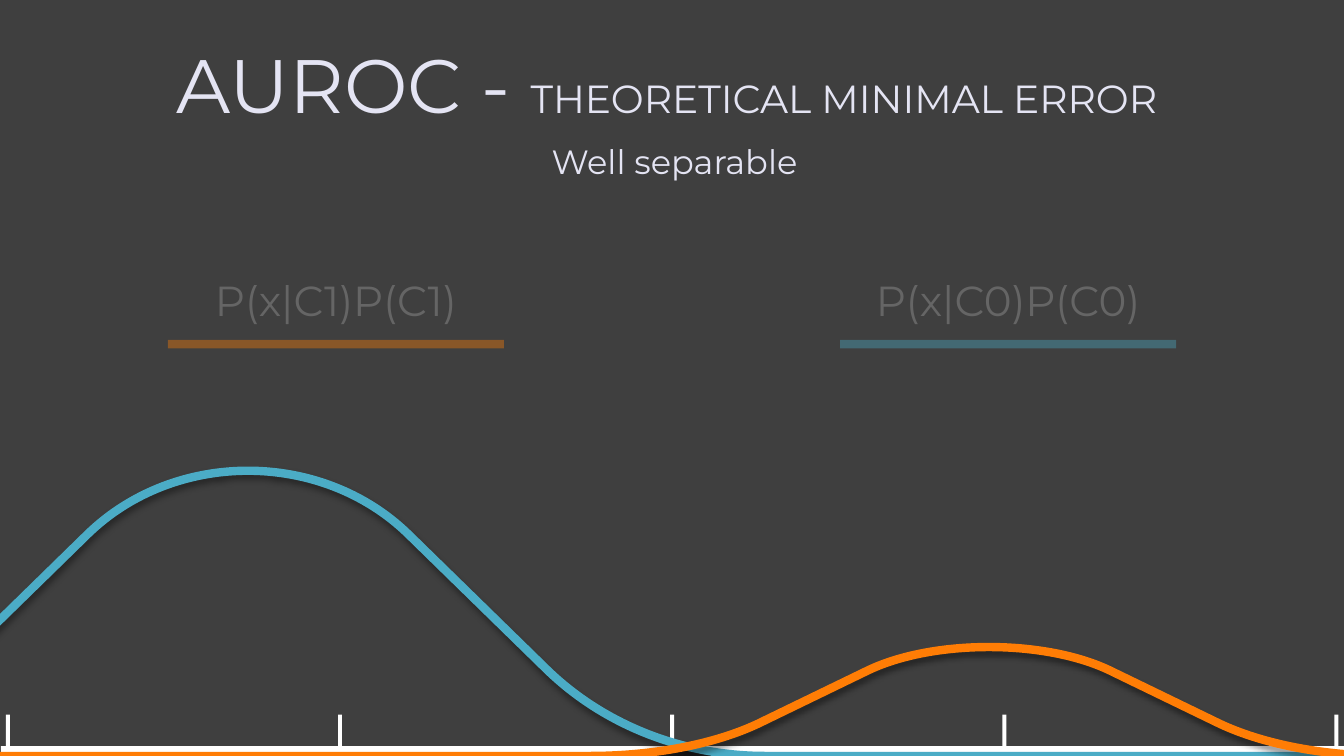
from dataclasses import dataclass

from lxml import etree
from pptx import Presentation
from pptx.dml.color import RGBColor
from pptx.enum.shapes import MSO_CONNECTOR
from pptx.enum.text import MSO_ANCHOR, PP_ALIGN
from pptx.oxml.ns import qn
from pptx.util import Cm, Pt

STRAIGHT = MSO_CONNECTOR.STRAIGHT
CENTER = PP_ALIGN.CENTER
TOP, MIDDLE = MSO_ANCHOR.TOP, MSO_ANCHOR.MIDDLE
FONT = "Montserrat"
BLUE, ORANGE, WHITE, LILAC = "4BACC6", "FF7D05", "FFFFFF", "E4E4F3"
BASE = 19.05

Point = tuple[float, float]


@dataclass
class Run:
    text: str
    size: int
    color: str = LILAC
    alpha: int = 100


@dataclass
class Bump:
    color: str
    center: float
    start: float
    end: float
    tail: float
    tail_handle: float
    foot_handle: Point
    foot: Point
    shoulder: Point
    top_handle: Point
    peak: float


@dataclass
class Legend:
    text: str
    left: float
    color: str


def paint(fill, color: str, alpha: int = 100) -> None:
    fill.solid()
    fill.fore_color.rgb = RGBColor.from_string(color)
    if alpha < 100:
        clr = fill._xPr.find(qn("a:solidFill"))[0]
        etree.SubElement(clr, qn("a:alpha"), val=str(alpha * 1000))


def add_shadow(sp) -> None:
    effects = etree.SubElement(sp._element.spPr, qn("a:effectLst"))
    shadow = etree.SubElement(effects, qn("a:outerShdw"), blurRad=str(Pt(4)),
                              dist=str(Pt(3)), dir="5400000", rotWithShape="0")
    clr = etree.SubElement(shadow, qn("a:srgbClr"), val="000000")
    etree.SubElement(clr, qn("a:alpha"), val="40000")


def add_outline(shapes, points: list[Point], close: bool,
                curves: tuple = (), top: float = 0):
    emu = [(Cm(x), Cm(y)) for x, y in points]
    inside = [(x, max(y, Cm(top))) for x, y in emu]
    builder = shapes.build_freeform(*inside[0])
    builder.add_line_segments(inside[1:], close=close)
    sp = builder.convert_to_shape()
    path = next(sp._element.iter(qn("a:path")))
    for pt, (x, y) in zip(path.iter(qn("a:pt")), emu):
        pt.set("x", str(x - sp.left))
        pt.set("y", str(y - sp.top))
    segments = list(path)
    for i in curves:
        bezier = etree.Element(qn("a:cubicBezTo"))
        segments[i].addprevious(bezier)
        for segment in segments[i:i + 3]:
            bezier.append(segment[0])
            path.remove(segment)
    return sp


def add_area(shapes, points: list[Point], color: str, curves: tuple = ()):
    sp = add_outline(shapes, points, True, curves)
    paint(sp.fill, color)
    sp.line.fill.background()
    return sp


def add_bump(shapes, b: Bump) -> None:
    half = [(b.tail, BASE), (b.tail_handle, BASE), b.foot_handle, b.foot,
            b.shoulder, b.top_handle]
    points = [(b.start, BASE)]
    points += [(b.center - x, y) for x, y in half]
    points += [(b.center + x, y) for x, y in reversed(half)]
    points.append((b.end, BASE))
    sp = add_outline(shapes, points, False, (2, 6, 10), b.peak)
    sp.fill.background()
    paint(sp.line.fill, b.color)
    sp.line.width = Pt(6)
    add_shadow(sp)


def add_text(shapes, box: tuple, runs: list[Run], anchor, insets: tuple,
             spacing: float = 1.0) -> None:
    tf = shapes.add_textbox(*map(Cm, box)).text_frame
    tf.word_wrap = True
    tf.vertical_anchor = anchor
    tf.margin_left, tf.margin_top, tf.margin_right, tf.margin_bottom = map(Cm, insets)
    p = tf.paragraphs[0]
    p.alignment = CENTER
    p.line_spacing = spacing
    for run in runs:
        r = p.add_run()
        r.text = run.text
        r.font.name = FONT
        r.font.size = Pt(run.size)
        paint(r.font.fill, run.color, run.alpha)


def add_legend(shapes, legend: Legend) -> None:
    width, y = 8.47, 8.67
    add_text(shapes, (legend.left, 4.45, width, 6.2),
             [Run(legend.text, 30, WHITE, 20)], MIDDLE, (0.1,) * 4)
    line = shapes.add_connector(STRAIGHT, Cm(legend.left), Cm(y),
                                Cm(legend.left + width), Cm(y))
    paint(line.line.fill, legend.color, 38)
    line.line.width = Pt(6)
    etree.SubElement(line._element.spPr, qn("a:effectLst"))


def ruler_points() -> list[Point]:
    left, right, bar, tick_top, tick_width = 0.02, 33.88, 18.8, 18.01, 0.1
    points = [(left, BASE), (left, bar)]
    for i in range(5):
        x = 0.15 + 8.37 * i
        points += [(x, bar), (x, tick_top), (x + tick_width, tick_top),
                   (x + tick_width, bar)]
    return points + [(right, bar), (right, BASE)]


OVERLAP = [(17.32, 18.8), (17.73, 18.9), (18.24, 19), (18.75, BASE), (19.28, BASE),
           (15.21, BASE), (15.47, BASE), (16.05, 19.02), (16.64, 18.95), (17.17, 18.85)]
BLUE_BUMP = Bump(BLUE, 6.25, -26.06, 46.84, 13.03, 10.95, (8.97, 18.26),
                 (7.55, 16.89), (4.04, 13.46), (1.85, 11.33), 11.86)
ORANGE_BUMP = Bump(ORANGE, 24.92, 0, 46.81, 10.06, 8.43, (6.91, 18.75),
                   (5.82, 18.24), (3.1, 16.92), (1.45, 16.1), 16.31)
LEGENDS = [Legend("P(x|C1)P(C1)", 4.23, ORANGE), Legend("P(x|C0)P(C0)", 21.17, BLUE)]


def main() -> None:
    prs = Presentation()
    prs.slide_width, prs.slide_height = Cm(33.87), Cm(BASE)
    s = prs.slides.add_slide(prs.slide_layouts[6])
    paint(s.background.fill, "3F3F3F")

    ruler = add_area(s.shapes, ruler_points(), WHITE)
    ruler.shadow.inherit = False
    add_shadow(add_area(s.shapes, OVERLAP, "262626", (2, 7)))
    add_bump(s.shapes, BLUE_BUMP)
    add_text(s.shapes, (2.33, 1.08, 29.21, 2.33),
             [Run("AUROC - ", 54), Run("THEORETICAL MINIMAL ERROR ", 28)],
             MIDDLE, (0.25, 0.13, 0.25, 0.13), 0.9)
    add_text(s.shapes, (2.33, 3.53, 29.21, 1.52), [Run("Well separable", 24)],
             TOP, (0.13, 0.13, 0, 0.13), 0.9)
    add_bump(s.shapes, ORANGE_BUMP)
    group = s.shapes.add_group_shape()
    for legend in LEGENDS:
        add_legend(group.shapes, legend)

    prs.save("out.pptx")


if __name__ == "__main__":
    main()
